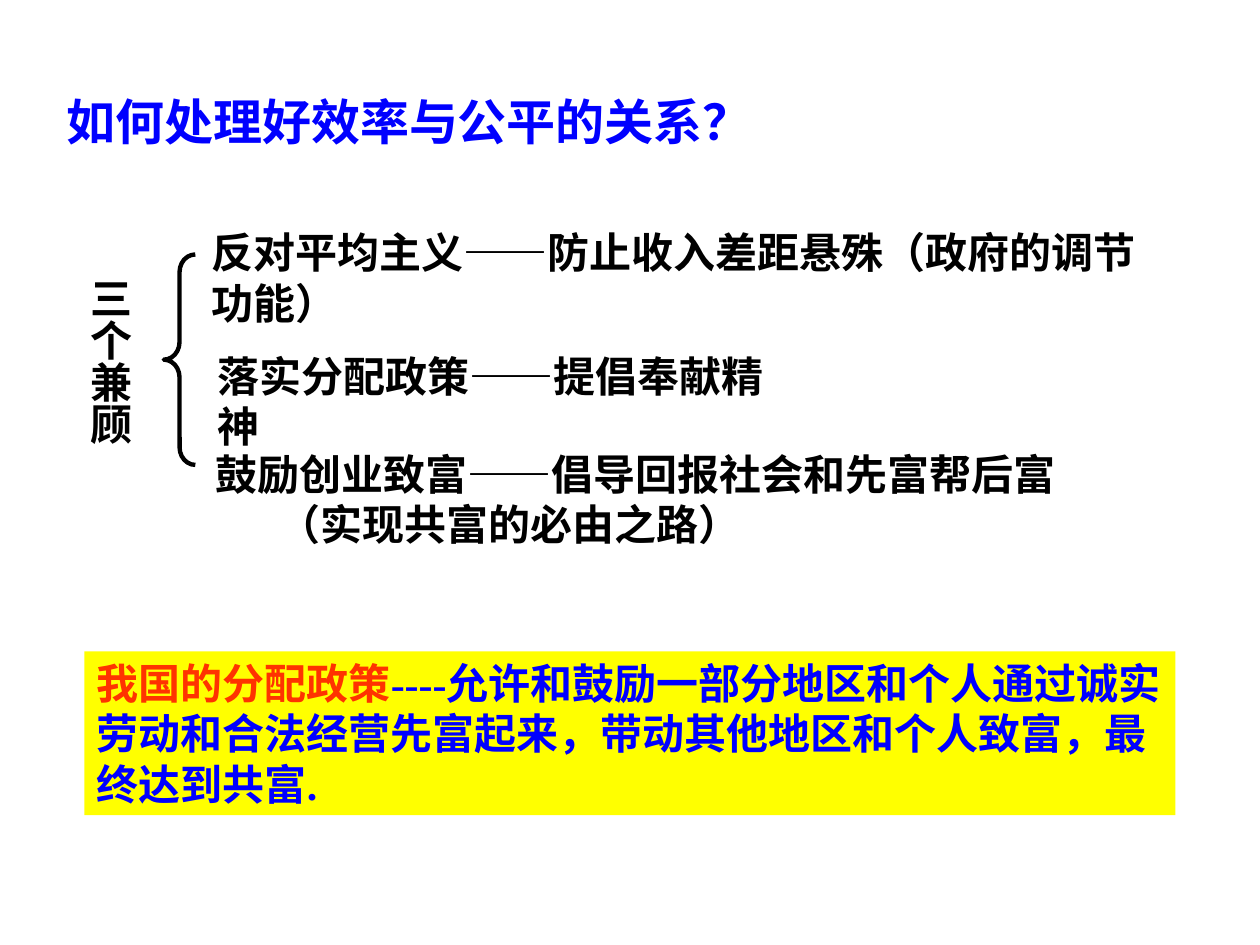
from pptx import Presentation
from pptx.dml.color import RGBColor
from pptx.enum.lang import MSO_LANGUAGE_ID
from pptx.enum.shapes import MSO_SHAPE
from pptx.enum.text import MSO_ANCHOR, PP_ALIGN
from pptx.util import Inches, Pt

BLACK, BLUE, RED, YELLOW = "000000", "0000FF", "FF3300", "FFFF00"
SANS, SERIF = "Noto Sans CJK SC", "Times New Roman"

TITLE = "如何处理好效率与公平的关系？"
TOPIC = "三个兼顾"
# text, left, top, width, height, wrap; a line break is written as \n
POINTS = [
    ("反对平均主义——防止收入差距悬殊（政府的调节功能）", 1.58, 1.75, 7.75, 0.9, True),
    ("落实分配政策——提倡奉献精神", 1.63, 2.73, 4.86, 0.5, False),
    ("鼓励创业致富——倡导回报社会和先富帮后富\n\t（实现共富的必由之路）", 1.61, 3.51, 7.51, 0.9, True),
]
POLICY = [
    ("我国的分配政策", RED),
    ("----允许和鼓励一部分地区和个人通过诚实劳动和合法经营先富起来，"
     "带动其他地区和个人致富，最终达到共富.", BLUE),
]


def rgb(value):
    return RGBColor.from_string(value)


def add_text(page, spans, place, size=24, font=SERIF, fill=None, wrap=True, vertical=False):
    """Add a box holding one paragraph of (text, colour) spans."""
    area = [Inches(length) for length in place]
    if fill:
        box = page.shapes.add_shape(MSO_SHAPE.RECTANGLE, *area)
        box.shadow.inherit = False
        box.fill.solid()
        box.fill.fore_color.rgb = rgb(fill)
        box.line.fill.background()
    else:
        box = page.shapes.add_textbox(*area)
    frame = box.text_frame
    frame.word_wrap = wrap
    frame.vertical_anchor = MSO_ANCHOR.TOP
    if vertical:
        frame._txBody.bodyPr.set("vert", "eaVert")
        frame.margin_left = frame.margin_right = Inches(0.05)
        frame.margin_top = frame.margin_bottom = Inches(0.1)
    para = frame.paragraphs[0]
    para.alignment = PP_ALIGN.LEFT
    for text, colour in spans:
        for number, line in enumerate(text.split("\n")):
            if number:
                para.add_line_break()
            span = para.add_run()
            span.text = line
            span.font.size = Pt(size)
            span.font.name = font
            span.font.bold = True
            span.font.color.rgb = rgb(colour)
            span.font.language_id = MSO_LANGUAGE_ID.SIMPLIFIED_CHINESE
    return box


def add_brace(page, left, top, width, height, curl):
    brace = page.shapes.add_shape(
        MSO_SHAPE.LEFT_BRACE, Inches(left), Inches(top), Inches(width), Inches(height))
    brace.adjustments[0] = curl / width
    brace.shadow.inherit = False
    brace.fill.background()
    brace.line.color.rgb = rgb(BLACK)
    brace.line.width = Pt(2.5)


def main():
    deck = Presentation()
    deck.slide_width, deck.slide_height = Inches(10), Inches(7.5)
    page = deck.slides.add_slide(deck.slide_layouts[6])

    add_text(page, [(TITLE, BLUE)], (0.43, 0.68, 7.01, 0.57), size=28, font=SANS)
    for text, *place, wrap in POINTS:
        add_text(page, [(text, BLACK)], place, wrap=wrap)
    add_brace(page, 1.3, 2.02, 0.25, 1.67, curl=0.14)
    add_text(page, [(TOPIC, BLACK)], (0.52, 2.1, 0.6, 1.63), vertical=True)
    add_text(page, POLICY, (0.67, 5.17, 8.66, 1.3), fill=YELLOW)

    deck.save("out.pptx")


if __name__ == "__main__":
    main()
